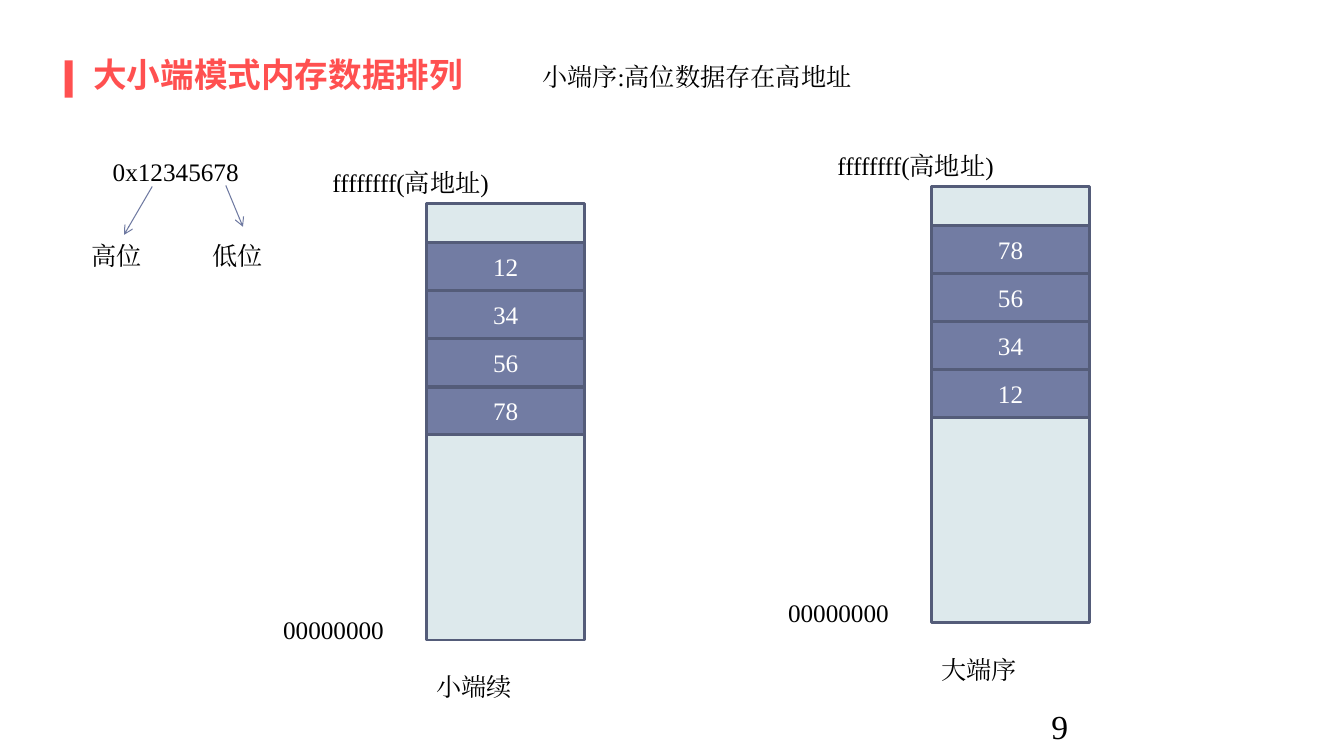
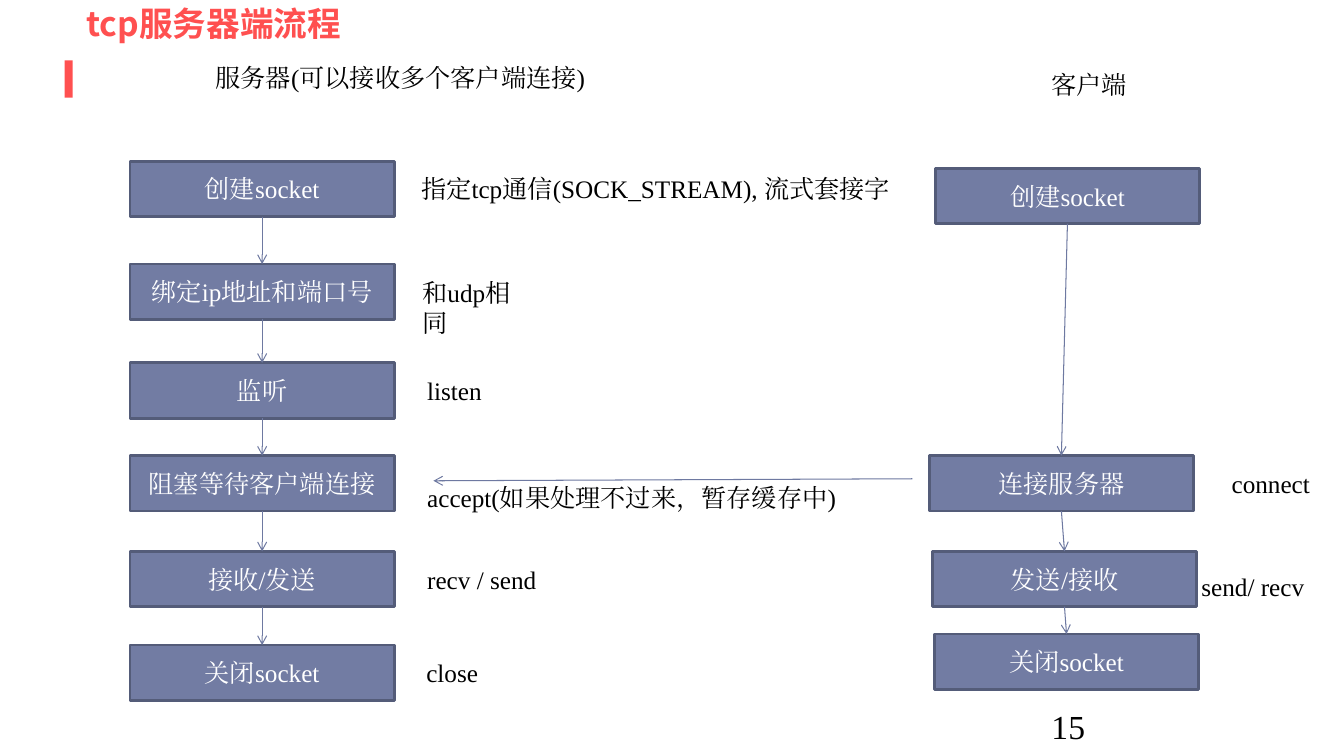
from itertools import pairwise

from pptx import Presentation
from pptx.dml.color import RGBColor
from pptx.enum.shapes import MSO_CONNECTOR, MSO_SHAPE
from pptx.enum.text import MSO_ANCHOR, PP_ALIGN
from pptx.oxml.ns import qn
from pptx.util import Inches, Pt
from lxml.etree import SubElement

RED = RGBColor(0xFF, 0x50, 0x50)
BLACK = RGBColor(0x00, 0x00, 0x00)
WHITE = RGBColor(0xFF, 0xFF, 0xFF)
SLATE = RGBColor(0x72, 0x7C, 0xA3)
EDGE = RGBColor(0x54, 0x5C, 0x79)
PALE = RGBColor(0xDD, 0xE9, 0xEC)
ARROW = RGBColor(0x6E, 0x79, 0xA1)
HEAD_FONT = "Noto Sans CJK SC"
BODY_FONT = "Times New Roman"
TEXT_H = 5.33

prs = Presentation()
prs.slide_width, prs.slide_height = Inches(13.333), Inches(7.5)
COL, ROW = prs.slide_width / 100, prs.slide_height / 100


def block(s, x, y, w, h=TEXT_H, text="", fill=None, edge=None, color=BLACK,
          size=18, font=BODY_FONT, bold=False, middle=False, wrap=True):
    """Add a filled rectangle, or a text box without fill; lengths are percent of the slide."""
    at = round(x * COL), round(y * ROW), round(w * COL), round(h * ROW)
    if fill is None:
        sp = s.shapes.add_textbox(*at)
    else:
        sp = s.shapes.add_shape(MSO_SHAPE.RECTANGLE, *at)
        sp.shadow.inherit = False
        sp.fill.solid()
        sp.fill.fore_color.rgb = fill
        if edge is None:
            sp.line.fill.background()
        else:
            sp.line.color.rgb = edge
            sp.line.width = Pt(2)
    if text:
        tf = sp.text_frame
        tf.word_wrap = wrap
        tf.vertical_anchor = MSO_ANCHOR.MIDDLE if middle or fill else MSO_ANCHOR.TOP
        p = tf.paragraphs[0]
        p.text = text
        p.alignment = PP_ALIGN.CENTER if fill else PP_ALIGN.LEFT
        p.font.size, p.font.bold, p.font.name = Pt(size), bold, font
        p.font.color.rgb = color
        for r in p.runs:
            SubElement(r.font._element, qn("a:ea"), typeface=font)
    return sp


def arrow(s, start, end):
    """Draw an arrow between two points, or from the bottom of one shape to the top of another."""
    joined = not isinstance(start, tuple)
    points = (0, 0, 0, 0) if joined else (
        round(start[0] * COL), round(start[1] * ROW), round(end[0] * COL), round(end[1] * ROW))
    c = s.shapes.add_connector(MSO_CONNECTOR.STRAIGHT, *points)
    if joined:
        c.begin_connect(start, 2)
        c.end_connect(end, 0)
    c.line.color.rgb = ARROW
    c.line.width = Pt(0.75)
    SubElement(c.line._get_or_add_ln(), qn("a:tailEnd"), type="arrow")
    SubElement(c._element.spPr, qn("a:effectLst"))


# Shared frame: red bar, title and page number
slides = []
for title, x, y, number in [("大小端模式内存数据排列", 6.2, 6.8, "9"),
                            ("tcp服务器端流程", 5.7, 0, "15")]:
    s = prs.slides.add_slide(prs.slide_layouts[6])
    block(s, 4.8, 8, 0.6, 4.93, fill=RED)
    block(s, x, y, 87.6, 6.13, title, color=RED, size=24, font=HEAD_FONT, bold=True, middle=True)
    block(s, 77.5, 92.67, 22.5, text=number, size=24)
    slides.append(s)
memory, flow = slides

# Byte order in memory
block(memory, 39.6, 7.47, 27.3, text="小端序:高位数据存在高地址")
for x, y, w, text in [(7.65, 20, 10.88, "0x12345678"),
                      (6.08, 31.07, 5.25, "高位"), (15.08, 31.07, 5.25, "低位")]:
    block(memory, x, y, w, text=text, wrap=False)
arrow(memory, (11.33, 24.67), (9.23, 31.07))
arrow(memory, (16.8, 24.53), (18.08, 30))

MEM_W, MEM_H, CELL_TOP, CELL_H, CELL_STEP = 11.78, 57.73, 5.2, 6.27, 6.36
for x, y, name, values in [(31.73, 26.93, "小端续", ["12", "34", "56", "78"]),
                           (69.3, 24.67, "大端序", ["78", "56", "34", "12"])]:
    block(memory, x, y, MEM_W, MEM_H, fill=PALE, edge=EDGE)
    for i, value in enumerate(values):
        block(memory, x, y + CELL_TOP + i * CELL_STEP, MEM_W, CELL_H, value,
              fill=SLATE, edge=EDGE, color=WHITE)
    block(memory, x - 11.4, y + 53.73, 9, text="00000000", wrap=False)
    block(memory, x - 7.73, y - 5.4, 13.13, text="ffffffff(高地址)")
    block(memory, x, y + 61.2, 7.13, text=name, wrap=False)

# TCP steps of server and client
STEP_W, STEP_H = 19.65, 7.33
server = [(9.68, 21.33, "创建socket"), (9.68, 34.93, "绑定ip地址和端口号"),
          (9.68, 48, "监听"), (9.68, 60.27, "阻塞等待客户端连接"),
          (9.68, 72.93, "接收/发送"), (9.68, 85.33, "关闭socket")]
client = [(69.6, 22.27, "创建socket"), (69.15, 60.27, "连接服务器"),
          (69.38, 72.93, "发送/接收"), (69.53, 83.87, "关闭socket")]
for steps in (server, client):
    boxes = [block(flow, x, y, STEP_W, STEP_H, text, fill=SLATE, edge=EDGE, color=WHITE)
             for x, y, text in steps]
    for upper, lower in pairwise(boxes):
        arrow(flow, upper, lower)
arrow(flow, (67.88, 63.33), (32.25, 63.6))

for x, y, w, text, wrap in [
        (15.3, 7.6, 29.03, "服务器(可以接收多个客户端连接)", True),
        (77.5, 8.53, 7.13, "客户端", False),
        (30.6, 22.27, 36.4, "指定tcp通信(SOCK_STREAM), 流式套接字", True),
        (30.68, 36, 9.9, "和udp相同", True),
        (31.05, 48.93, 5.55, "listen", False),
        (31.05, 63.2, 31.95, "accept(如果处理不过来，暂存缓存中)", True),
        (31.05, 74, 9.6, "recv / send", False),
        (30.98, 86.27, 5.33, "close", False),
        (90.9, 61.33, 7.35, "connect", False),
        (88.65, 74.93, 9.15, "send/ recv", False)]:
    block(flow, x, y, w, text=text, wrap=wrap)

prs.save("out.pptx")
